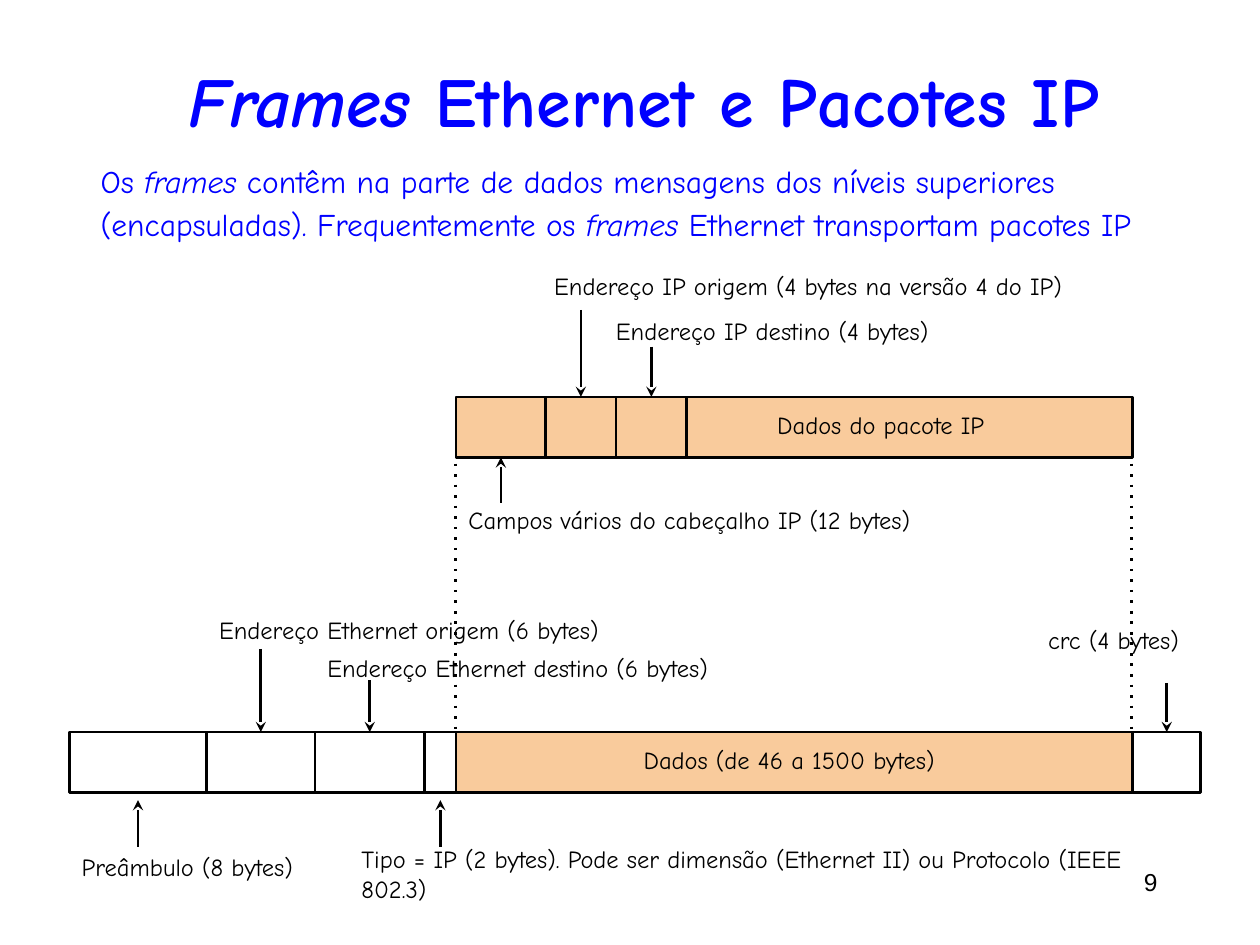
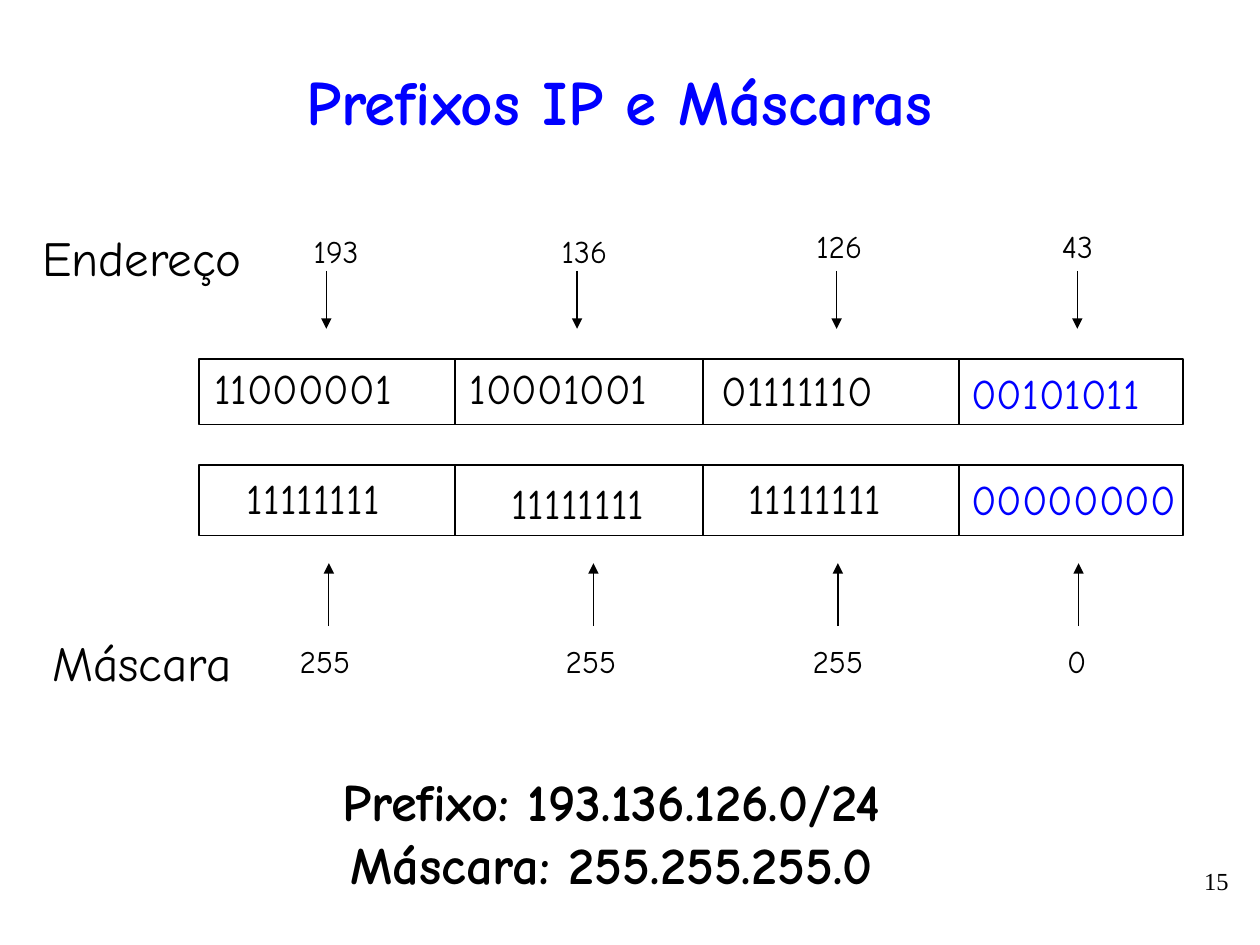
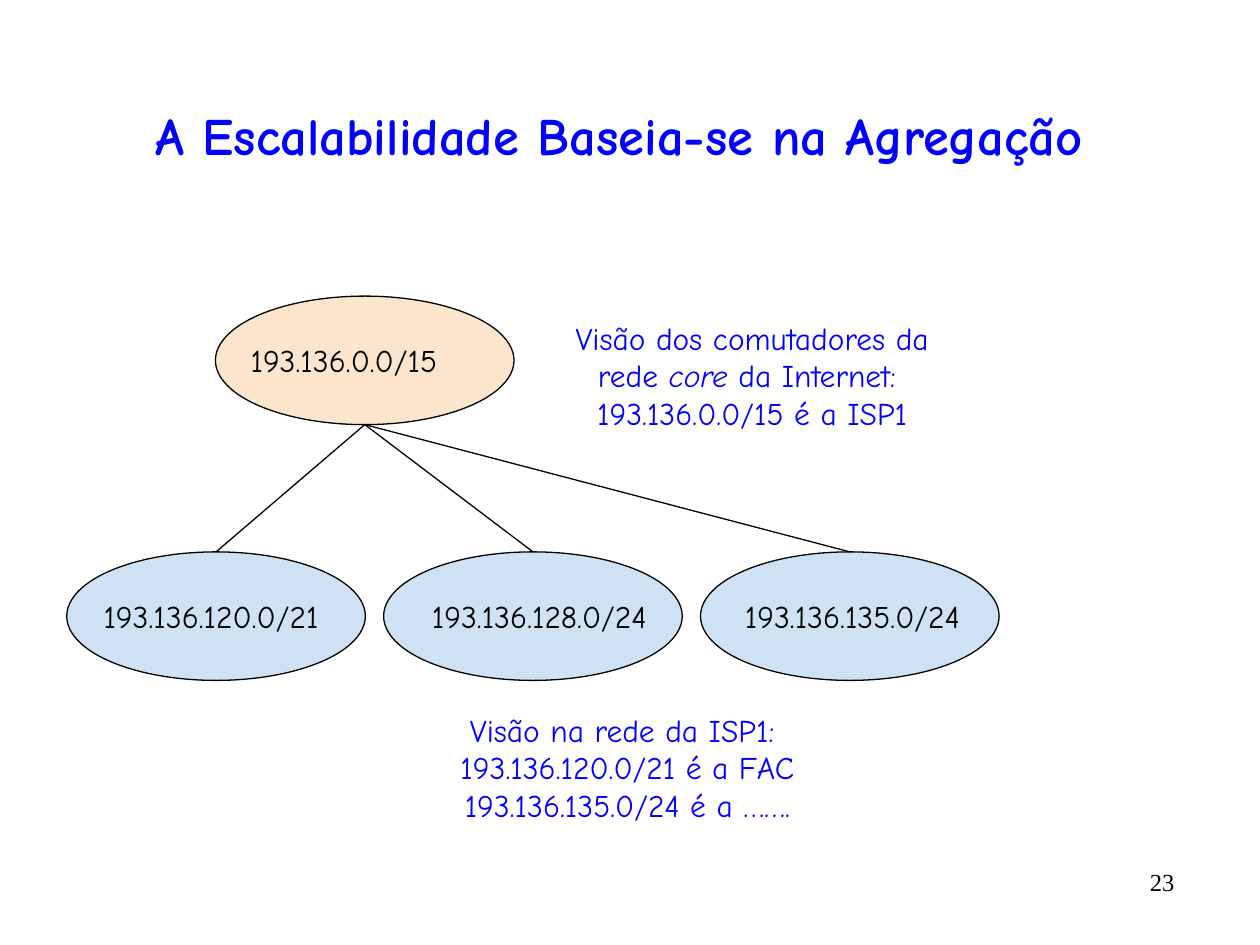
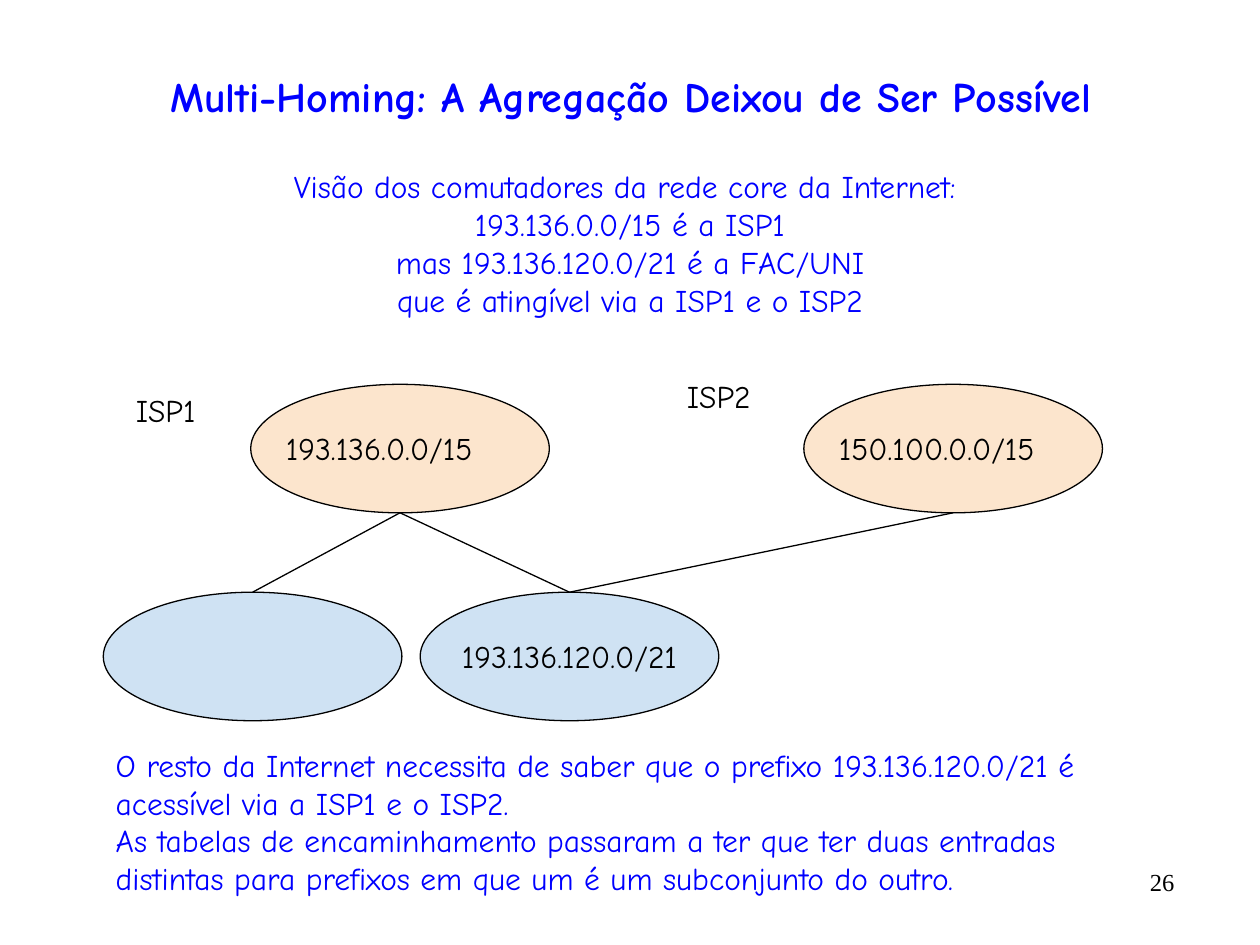
import lxml.etree
import pptx
import pptx.dml.color
import pptx.enum.shapes
import pptx.enum.text
import pptx.oxml.ns
import pptx.util

RGB = pptx.dml.color.RGBColor
SHAPE = pptx.enum.shapes.MSO_SHAPE
ALIGN = pptx.enum.text.PP_ALIGN
ANCHOR = pptx.enum.text.MSO_ANCHOR
qn = pptx.oxml.ns.qn

BLACK = RGB(0x00, 0x00, 0x00)
WHITE = RGB(0xFF, 0xFF, 0xFF)
BLUE = RGB(0x00, 0x00, 0xFF)
ORANGE = RGB(0xF9, 0xCB, 0x9C)
PEACH = RGB(0xFC, 0xE5, 0xCD)
SKY = RGB(0xCF, 0xE2, 0xF3)
COMIC, ARIAL, TIMES = "Comic Neue", "Arial", "Times New Roman"

# The slide is a grid of 100 columns by 75 rows of square cells
COLS, ROWS = 100, 75
CELL = pptx.util.Inches(10) // COLS
NODE_W, NODE_H = 23.7, 10.2
NODE_STEP = 25.15


def cells(*counts):
    return [round(n * CELL) for n in counts]


# Basic elements

def text(sl, box, paras, size=14, color=BLACK, bold=False, align=ALIGN.LEFT,
         anchor=ANCHOR.TOP, font=COMIC, pad=0.5, spacing=None):
    """Add a text box; words between asterisks are italic."""
    tf = sl.shapes.add_textbox(*cells(*box)).text_frame
    tf.word_wrap = True
    tf.vertical_anchor = anchor
    tf.margin_left, tf.margin_right, tf.margin_top, tf.margin_bottom = cells(1, 1, pad, pad)
    for i, para in enumerate(paras):
        p = tf.add_paragraph() if i else tf.paragraphs[0]
        p.alignment = align
        if spacing:
            p.line_spacing = spacing
        for j, part in enumerate(para.split("*")):
            if part:
                r = p.add_run()
                r.text = part
                r.font.name, r.font.size = font, pptx.util.Pt(size)
                r.font.bold, r.font.italic = bold, j % 2 == 1
                r.font.color.rgb = color


def shape(sl, kind, box, fill, width):
    sp = sl.shapes.add_shape(kind, *cells(*box))
    sp.shadow.inherit = False
    if fill is None:
        sp.fill.background()
    else:
        sp.fill.solid()
        sp.fill.fore_color.rgb = fill
    sp.line.color.rgb = BLACK
    sp.line.width = pptx.util.Pt(width)
    return sp


def line(sl, x1, y1, x2, y2, width, dash=None, tail=None):
    c = sl.shapes.add_connector(pptx.enum.shapes.MSO_CONNECTOR.STRAIGHT,
                                *cells(x1, y1, x2, y2))
    c.line.color.rgb = BLACK
    c.line.width = pptx.util.Pt(width)
    spPr = c.element.spPr
    ln = spPr.find(qn("a:ln"))
    if dash:
        lxml.etree.SubElement(ln, qn("a:prstDash")).set("val", dash)
    if tail:
        lxml.etree.SubElement(ln, qn("a:tailEnd")).set("type", tail)
    lxml.etree.SubElement(spPr, qn("a:effectLst"))
    return c


def title(sl, box, words, size):
    text(sl, box, [words], size, BLUE, True, ALIGN.CENTER, ANCHOR.MIDDLE)


def number(sl, n, box=(84.2, 68.3, 10, 4.2), font=TIMES, align=ALIGN.RIGHT):
    text(sl, box, [n], font=font, align=align)


# Frame and packet diagram

def fields(sl, edges, top, fills):
    """Add a row of adjoining fields between consecutive edges."""
    return [shape(sl, SHAPE.RECTANGLE, (a, top, b - a, 4.8), fill, 1.5)
            for a, b, fill in zip(edges, edges[1:], fills)]


def pointer(sl, field, start, gap=0):
    """Point at a field from the row start, joined to it unless a gap is left."""
    x = (field.left + field.width / 2) / CELL
    top, bottom = field.top / CELL, (field.top + field.height) / CELL
    above = start < top
    c = line(sl, x, start, x, top if above else bottom + gap, 1.5, tail="stealth")
    if not gap:
        c.end_connect(field, 0 if above else 2)


def frames_slide(sl):
    number(sl, "9", (89.8, 68.3, 4.4, 4.2), ARIAL, ALIGN.LEFT)
    text(sl, (7, 11.9, 86.4, 8),
         ["Os *frames* contêm na parte de dados mensagens dos níveis superiores "
          "(encapsuladas). Frequentemente os *frames* Ethernet transportam pacotes IP"],
         18, BLUE, spacing=1.15)
    preamble, eth_src, eth_dst, kind, _, crc = fields(
        sl, (5.5, 16.4, 25, 33.7, 36.2, 89.9, 95.3), 58.1,
        [None] * 4 + [ORANGE, None])
    various, ip_src, ip_dst, _ = fields(
        sl, (36.2, 43.3, 48.9, 54.5, 89.9), 31.5, [ORANGE] * 4)

    for x, y, w, words in (
            (16.4, 47.8, 40.5, "Endereço Ethernet origem (6 bytes)"),
            (50.1, 58.1, 28.1, "Dados (de 46 a 1500 bytes)"),
            (27.7, 66, 64.1, "Tipo = IP (2 bytes). Pode ser dimensão (Ethernet II) "
                             "ou Protocolo (IEEE 802.3)"),
            (5.5, 66.6, 22.1, "Preâmbulo (8 bytes)"),
            (82.2, 48.6, 15.1, "crc (4 bytes)"),
            (25, 50.8, 39.6, "Endereço Ethernet destino (6 bytes)"),
            (60.7, 31.5, 22.5, "Dados do pacote IP"),
            (47.9, 24.1, 39.6, "Endereço IP destino (4 bytes)"),
            (43, 20.5, 48.1, "Endereço IP origem (4 bytes na versão 4 do IP)"),
            (36.2, 39.1, 47, "Campos vários do cabeçalho IP (12 bytes)")):
        text(sl, (x, y, w, 4.8), [words], pad=1)

    for field, start in ((eth_src, 51.5), (eth_dst, 54), (crc, 54.2),
                         (ip_src, 24.6), (ip_dst, 27.5), (various, 39.9)):
        pointer(sl, field, start)
    for field in (preamble, kind):
        pointer(sl, field, 67.2, gap=0.6)
    for x in (36.15, 89.8):
        line(sl, x, 36.8, x, 58.1, 1.5, dash="dot")
    title(sl, (2.6, 2.5, 97, 10.8), "*Frames* Ethernet e Pacotes IP", 40)


# Address and mask diagram

def register(sl, top, height):
    shape(sl, SHAPE.RECTANGLE, (15.8, top, 78.1, height), WHITE, 1)
    for x in (36.1, 55.8, 76.1):
        line(sl, x, top, x, top + height, 1)


def prefixes_slide(sl):
    title(sl, (3.3, 4.2, 91.7, 7.5), "Prefixos IP e Máscaras", 36)
    register(sl, 28.5, 5.2)
    register(sl, 36.9, 5.6)

    # Binary octets
    for x, y, bits, color in (
            (16, 28.3, "11000001", BLACK), (36.3, 28.3, "10001001", BLACK),
            (56.3, 28.4, "01111110", BLACK), (76.1, 28.7, "00101011", BLUE),
            (18.6, 37, "11111111", BLACK), (39.6, 37.4, "11111111", BLACK),
            (58.4, 37, "11111111", BLACK), (76.1, 37.1, "00000000", BLUE)):
        text(sl, (x, y, 20.8, 5.3), [bits], 24, color)

    # Decimal octets
    for x, y, value in (
            (23.9, 17.9, "193"), (43.6, 17.9, "136"), (63.8, 17.5, "126"),
            (83.3, 17.5, "43"), (22.8, 50.5, "255"), (43.9, 50.5, "255"),
            (63.5, 50.5, "255"), (83.7, 50.5, "0")):
        text(sl, (x, y, 7.5, 5), [value], 18)

    for columns, start, end in (((25.9, 45.8, 66.4, 85.5), 21.5, 26.1),
                                ((26.1, 47.1, 66.5, 85.6), 49.7, 44.7)):
        for x in columns:
            line(sl, x, start, x, end, 0.75, tail="triangle")

    text(sl, (1.7, 17.6, 19.1, 5.7), ["Endereço"], 28, align=ALIGN.CENTER)
    text(sl, (2.4, 49.7, 17.7, 5.7), ["Máscara"], 28, align=ALIGN.CENTER)
    text(sl, (10.3, 61.5, 76.5, 9),
         ["Prefixo: 193.136.126.0/24", "Máscara: 255.255.255.0"],
         30, bold=True, align=ALIGN.CENTER, anchor=ANCHOR.MIDDLE)
    number(sl, "15", (75.2, 68.2, 23.3, 5.2))


# Network trees

def node(sl, x, y, fill):
    return shape(sl, SHAPE.OVAL, (x, y, NODE_W, NODE_H), fill, 0.75)


def provider(sl, x, y, address):
    sp = node(sl, x, y, PEACH)
    text(sl, (x + 1.8, y + 3.1, 20.2, 4), [address], 18)
    return sp


def network(sl, x, y, address="", shift=0.4, width=22.1):
    sp = node(sl, x, y, SKY)
    if address:
        text(sl, (x + shift, y + 3.1, width, 4.2), [address], 18, align=ALIGN.CENTER)
    return sp


def branch(sl, parent, child):
    c = line(sl, 0, 0, 1, 1, 0.75)
    c.begin_connect(parent, 2)
    c.end_connect(child, 0)
    # An ellipse has eight sites, and its bottom is number 4
    next(c.element.iter(qn("a:stCxn"))).set("idx", "4")


def note(sl, box, paras, align=ALIGN.CENTER):
    text(sl, box, paras, 18, BLUE, align=align)


def aggregation_slide(sl):
    number(sl, "23")
    title(sl, (3.3, 4.2, 91.7, 13), "A Escalabilidade Baseia-se na Agregação", 30)
    root = provider(sl, 17.1, 23.5, "193.136.0.0/15")
    for i, (address, shift, width) in enumerate((("193.136.120.0/21", 0.4, 22.1),
                                                 ("193.136.128.0/24", 0.5, 23.7),
                                                 ("193.136.135.0/24", 0.4, 23.3))):
        branch(sl, root, network(sl, 5.3 + i * NODE_STEP, 43.8, address, shift, width))
    note(sl, (42.3, 24.8, 34.8, 10.2),
         ["Visão dos comutadores da rede *core* da Internet: ",
          "193.136.0.0/15 é a ISP1"])
    note(sl, (22.5, 55.9, 54.6, 14.2),
         ["Visão na rede da ISP1: ", "193.136.120.0/21 é a FAC",
          "193.136.135.0/24 é a ……."])


def multihoming_slide(sl):
    number(sl, "26")
    title(sl, (4.2, 2.5, 91.7, 10.2),
          "Multi-Homing: A Agregação Deixou de Ser Possível", 24)
    note(sl, (17.4, 12.8, 65.2, 13),
         ["Visão dos comutadores da rede core da Internet: ",
          "193.136.0.0/15 é a ISP1", "mas 193.136.120.0/21 é a FAC/UNI",
          "que é atingível via a ISP1 e o ISP2"])
    first = provider(sl, 19.9, 30.5, "193.136.0.0/15")
    second = provider(sl, 63.8, 30.5, "150.100.0.0/15")
    other = network(sl, 8.2, 47)
    shared = network(sl, 8.2 + NODE_STEP, 47, "193.136.120.0/21", 0.8)
    for parent, child in ((first, other), (first, shared), (second, shared)):
        branch(sl, parent, child)
    for x, y, name in ((6.4, 30.5, "ISP1"), (50.3, 29.4, "ISP2")):
        text(sl, (x, y, 13.5, 4.2), [name], 18, align=ALIGN.CENTER)
    note(sl, (8.2, 58.7, 85.9, 13),
         ["O resto da Internet necessita de saber que o prefixo 193.136.120.0/21 é "
          "acessível via a ISP1 e o ISP2.",
          "As tabelas de encaminhamento passaram a ter que ter duas entradas "
          "distintas para prefixos em que um é um subconjunto do outro."],
         ALIGN.LEFT)


def main():
    prs = pptx.Presentation()
    prs.slide_width, prs.slide_height = COLS * CELL, ROWS * CELL
    for build in (frames_slide, prefixes_slide, aggregation_slide, multihoming_slide):
        build(prs.slides.add_slide(prs.slide_layouts[6]))
    prs.save("out.pptx")


if __name__ == "__main__":
    main()
